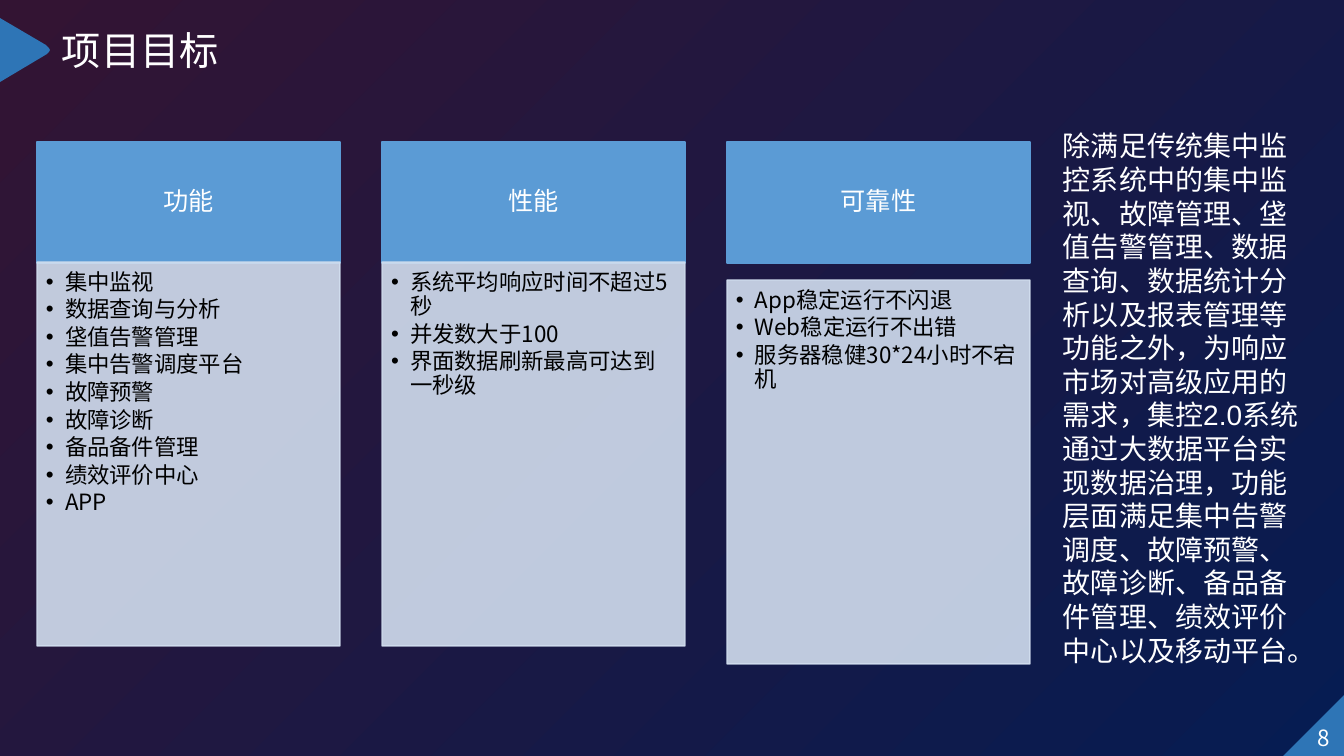
import pptx
import pptx.dml.color
import pptx.enum.shapes
import pptx.enum.text
import pptx.oxml
import pptx.oxml.ns
import pptx.util

PX = 914400 / 100.8
THEME = {
    "font": "Noto Sans CJK SC", "latin_body": "Arial",
    "background": ("331433", "061C52"), "accent": "2E75B6",
    "header": "5B9BD5", "panel": "D2DEEF", "light": "FFFFFF", "dark": "000000",
    "title": 28, "summary": 20, "heading": 18, "item": 16,
}
ALIGN = pptx.enum.text.PP_ALIGN
ANCHOR = pptx.enum.text.MSO_ANCHOR
SHAPE = pptx.enum.shapes.MSO_SHAPE
NS = 'xmlns:a="http://schemas.openxmlformats.org/drawingml/2006/main"'
qn = pptx.oxml.ns.qn


def write(shape, lines, size, color, align=ALIGN.LEFT, anchor=ANCHOR.TOP,
          insets=(10, 5, 10, 5), wrap=True, latin=THEME["font"], spacing=None, bullet=False):
    """Fill a shape with one paragraph per line; insets are left, top, right, bottom in px."""
    frame = shape.text_frame
    frame.word_wrap = wrap
    frame.vertical_anchor = anchor
    (frame.margin_left, frame.margin_top,
     frame.margin_right, frame.margin_bottom) = [round(inset * PX) for inset in insets]
    for index, line in enumerate(lines):
        paragraph = frame.paragraphs[0] if index == 0 else frame.add_paragraph()
        paragraph.alignment = align
        if spacing:
            paragraph.line_spacing = spacing
        if bullet:
            paragraph.level = 1
            paragraph.space_after = pptx.util.Pt(2.4)
            properties = paragraph._p.get_or_add_pPr()
            properties.set("marL", str(round(19 * PX)))
            properties.set("indent", str(round(-19 * PX)))
            properties.append(pptx.oxml.parse_xml(f'<a:buFont {NS} typeface="Arial"/>'))
            properties.append(pptx.oxml.parse_xml(f'<a:buChar {NS} char="•"/>'))
        run = paragraph.add_run()
        run.text = line
        run.font.size = pptx.util.Pt(THEME[size])
        run.font.color.rgb = pptx.dml.color.RGBColor.from_string(THEME[color])
        run.font.name = latin
        run.font._element.find(qn("a:latin")).addnext(
            pptx.oxml.parse_xml(f'<a:ea {NS} typeface="{THEME["font"]}"/>'))


def paint(shape, color, outlined=False, opacity=100):
    rgb = pptx.dml.color.RGBColor.from_string(THEME[color])
    shape.shadow.inherit = False
    shape.fill.solid()
    shape.fill.fore_color.rgb = rgb
    if outlined:
        shape.line.color.rgb = rgb
        shape.line.width = pptx.util.Pt(1)
    else:
        shape.line.fill.background()
    if opacity < 100:
        for fill_color in shape.element.spPr.iter(qn("a:srgbClr")):
            fill_color.append(pptx.oxml.parse_xml(f'<a:alpha {NS} val="{opacity * 1000}"/>'))


presentation = pptx.Presentation()
presentation.slide_width = round(1344 * PX)
presentation.slide_height = round(756 * PX)
slide = presentation.slides.add_slide(presentation.slide_layouts[6])
shapes = slide.shapes

background = slide.background.fill
background.gradient()
background.gradient_angle = 315
for stop, position, color in zip(background.gradient_stops, (0, 1), THEME["background"]):
    stop.position = position
    stop.color.rgb = pptx.dml.color.RGBColor.from_string(color)

# Title and corner decorations
title = shapes.add_textbox(*[round(length * PX) for length in (52, 21, 178, 58)])
write(title, ["项目目标"], "title", "light", wrap=False)

builder = shapes.build_freeform(0, 18, scale=PX)
builder.add_line_segments([(46, 45), (49, 48), (50, 50), (49, 52), (47, 54), (0, 82)], close=True)
paint(builder.convert_to_shape(), "accent")

corner = shapes.add_shape(SHAPE.ISOSCELES_TRIANGLE,
                          *[round(length * PX) for length in (1283, 695, 61, 61)])
corner.adjustments[0] = 1.0
paint(corner, "accent")
page_number = shapes.add_textbox(*[round(length * PX) for length in (1308, 719, 30, 29)])
write(page_number, ["8"], "item", "light", align=ALIGN.RIGHT)

# Goal columns: heading, top of the panel, items
goals = [
    ("功能", 262, ["集中监视", "数据查询与分析", "垡值告警管理", "集中告警调度平台", "故障预警",
                 "故障诊断", "备品备件管理", "绩效评价中心", "APP"]),
    ("性能", 262, ["系统平均响应时间不超过5秒", "并发数大于100", "界面数据刷新最高可达到一秒级"]),
    ("可靠性", 280, ["App稳定运行不闪退", "Web稳定运行不出错", "服务器稳健30*24小时不宕机"]),
]
for column, (heading, panel_top, items) in enumerate(goals):
    left = 37 + 345 * column
    header = shapes.add_shape(SHAPE.RECTANGLE,
                              *[round(length * PX) for length in (left, 142, 303, 121)])
    paint(header, "header", outlined=True)
    write(header, [heading], "heading", "light", align=ALIGN.CENTER, anchor=ANCHOR.MIDDLE,
          insets=(14, 8, 14, 8), spacing=0.9)
    panel = shapes.add_shape(SHAPE.RECTANGLE,
                             *[round(length * PX) for length in (left, panel_top, 303, 384)])
    paint(panel, "panel", outlined=True, opacity=90)
    write(panel, items, "item", "dark", insets=(9, 9, 12, 14), spacing=0.9, bullet=True)

# Summary
summary = shapes.add_textbox(*[round(length * PX) for length in (1053, 124, 260, 552)])
write(summary, [
    "除满足传统集中监控系统中的集中监视、故障管理、垡值告警管理、数据查询、数据统计分析以及报表管理等功能之外，"
    "为响应市场对高级应用的需求，集控2.0系统通过大数据平台实现数据治理，功能层面满足集中告警调度、故障预警、"
    "故障诊断、备品备件管理、绩效评价中心以及移动平台。"
], "summary", "light", latin=THEME["latin_body"])

presentation.save("out.pptx")
